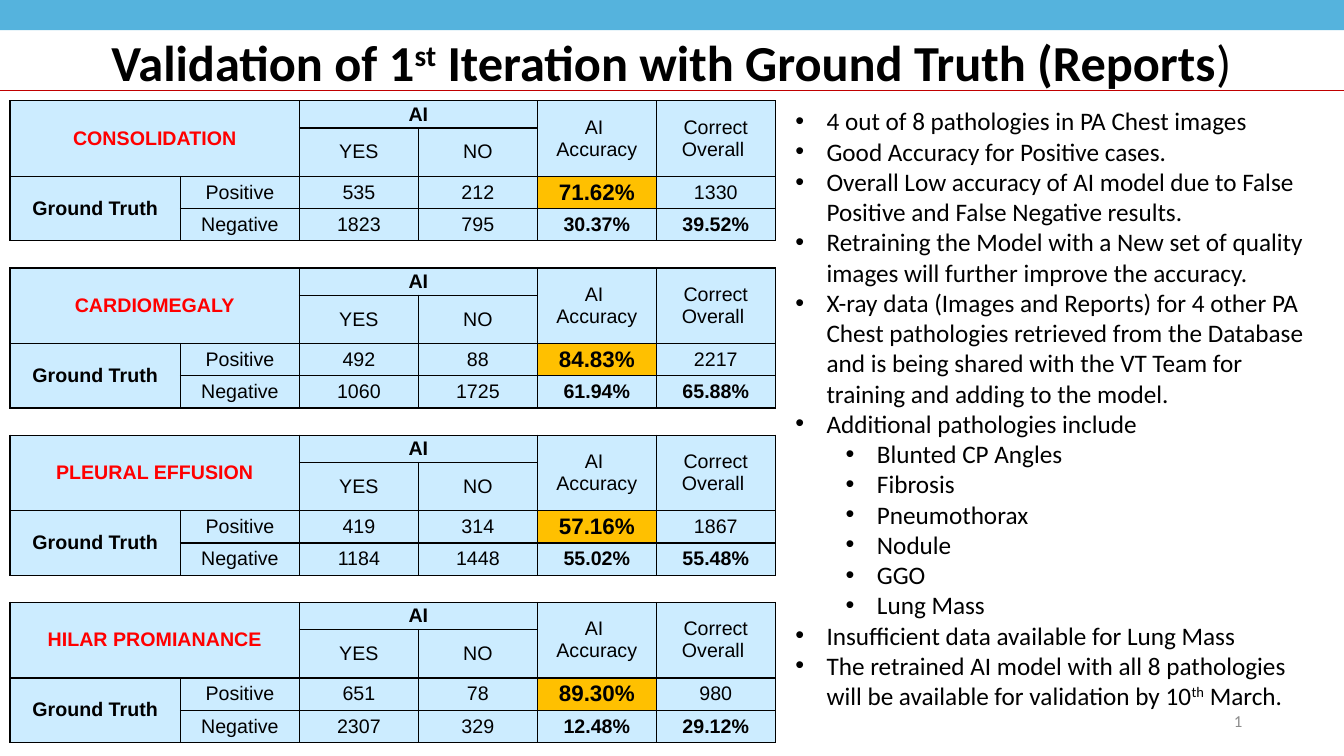
from dataclasses import dataclass

from lxml.etree import SubElement
from pptx import Presentation
from pptx.dml.color import RGBColor
from pptx.enum.shapes import MSO_CONNECTOR, MSO_SHAPE
from pptx.enum.text import MSO_ANCHOR, PP_ALIGN
from pptx.oxml.ns import qn
from pptx.slide import Slide
from pptx.table import Table, _Cell
from pptx.text.text import TextFrame, _Paragraph
from pptx.util import Inches, Pt

PALE, AMBER, RED, BLACK = "CCECFF", "FFC000", "FF0000", "000000"
COLUMN_WIDTHS = [1.69] + [1.18] * 5
ROW_HEIGHTS = [0.27, 0.48, 0.32, 0.32, 0.27]
BLOCK_ROWS = len(ROW_HEIGHTS)


@dataclass(frozen=True)
class Span:
    text: str
    bold: bool = False
    superscript: bool = False


@dataclass(frozen=True)
class Bullet:
    spans: tuple[Span, ...]
    level: int = 0


@dataclass(frozen=True)
class Pathology:
    name: str
    positive: tuple[str, ...]
    negative: tuple[str, ...]


@dataclass(frozen=True)
class CellText:
    row: int
    column: int
    lines: tuple[str, ...]
    bold: bool = False
    color: str = BLACK
    size: int = 14
    fill: str = PALE
    row_span: int = 1
    column_span: int = 1


TITLE = (
    Span("Validation of 1", bold=True),
    Span("st", bold=True, superscript=True),
    Span(" Iteration with Ground Truth (Reports", bold=True),
    Span(")"),
)
PATHOLOGIES = [
    Pathology("CONSOLIDATION", ("535", "212", "71.62%", "1330"), ("1823", "795", "30.37%", "39.52%")),
    Pathology("CARDIOMEGALY", ("492", "88", "84.83%", "2217"), ("1060", "1725", "61.94%", "65.88%")),
    Pathology("PLEURAL EFFUSION", ("419", "314", "57.16%", "1867"), ("1184", "1448", "55.02%", "55.48%")),
    Pathology("HILAR PROMIANANCE", ("651", "78", "89.30%", "980"), ("2307", "329", "12.48%", "29.12%")),
]
FINDINGS = [
    "4 out of 8 pathologies in PA Chest images",
    "Good Accuracy for Positive cases.",
    "Overall Low accuracy of AI model due to False Positive and False Negative results.",
    "Retraining the Model with a New set of quality images will further improve the accuracy.",
    "X-ray data (Images and Reports) for 4 other PA Chest pathologies retrieved from the Database "
    "and is being shared with the VT Team for training and adding to the model.",
    "Additional pathologies include",
]
ADDITIONAL = ["Blunted CP Angles", "Fibrosis", "Pneumothorax", "Nodule", "GGO", "Lung Mass"]
BULLETS = [
    *(Bullet((Span(text),)) for text in FINDINGS),
    *(Bullet((Span(text),), level=1) for text in ADDITIONAL),
    Bullet((Span("Insufficient data available for Lung Mass"),)),
    Bullet((
        Span("The retrained AI model with all 8 pathologies will be available for validation by 10"),
        Span("th", superscript=True),
        Span(" March."),
    )),
]


def rgb(value: str) -> RGBColor:
    return RGBColor.from_string(value)


def add_span(para: _Paragraph, span: Span, size: int, font: str = "Calibri", color: str = BLACK) -> None:
    run = para.add_run()
    run.text = span.text
    run.font.name = font
    run.font.size = Pt(size)
    run.font.bold = span.bold
    run.font.color.rgb = rgb(color)
    if span.superscript:
        run.font._element.set("baseline", "30000")


def add_text_box(page: Slide, left: float, top: float, width: float, height: float,
                 anchor: MSO_ANCHOR = MSO_ANCHOR.MIDDLE) -> TextFrame:
    box = page.shapes.add_textbox(Inches(left), Inches(top), Inches(width), Inches(height))
    frame = box.text_frame
    frame.word_wrap = True
    frame.vertical_anchor = anchor
    return frame


def add_banner(page: Slide) -> None:
    band = page.shapes.add_shape(MSO_SHAPE.RECTANGLE, 0, 0, Inches(13.33), Inches(0.3))
    band.shadow.inherit = False
    band.fill.solid()
    band.fill.fore_color.rgb = rgb("55B3DD")
    band.line.fill.background()
    rule = page.shapes.add_connector(MSO_CONNECTOR.STRAIGHT, 0, Inches(0.9), Inches(13.33), Inches(0.9))
    rule.line.color.rgb = rgb("C00000")
    rule.line.width = Pt(0.5)
    SubElement(rule._element.spPr, qn("a:effectLst"))


def add_title(page: Slide) -> None:
    para = add_text_box(page, 0.23, 0.4, 12.86, 0.5).paragraphs[0]
    para.alignment = PP_ALIGN.CENTER
    para.line_spacing = 0.9
    for span in TITLE:
        add_span(para, span, 36)


def add_page_number(page: Slide) -> None:
    para = add_text_box(page, 9.42, 6.95, 3, 0.4).paragraphs[0]
    para.alignment = PP_ALIGN.RIGHT
    add_span(para, Span("1"), 12, color="8C8C8C")


def add_bullets(page: Slide) -> None:
    frame = add_text_box(page, 7.79, 1, 5.44, 6.16, MSO_ANCHOR.TOP)
    for index, bullet in enumerate(BULLETS):
        para = frame.add_paragraph() if index else frame.paragraphs[0]
        para.level = bullet.level
        properties = para._p.get_or_add_pPr()
        properties.set("marL", str(Inches(0.31 + 0.5 * bullet.level)))
        properties.set("indent", str(Inches(-0.31)))
        SubElement(properties, qn("a:buFont"), typeface="Arial")
        SubElement(properties, qn("a:buChar"), char="•")
        for span in bullet.spans:
            add_span(para, span, 18)


def prepare_cell(cell: _Cell, is_gap: bool) -> None:
    cell.margin_left = cell.margin_right = Inches(0.01)
    cell.margin_top = cell.margin_bottom = 0
    cell.vertical_anchor = MSO_ANCHOR.MIDDLE
    properties = cell._tc.get_or_add_tcPr()
    for side in "LRTB":
        line = SubElement(properties, qn(f"a:ln{side}"), w=str(Pt(1)))
        if is_gap and side in "LR":
            SubElement(line, qn("a:noFill"))
        else:
            SubElement(SubElement(line, qn("a:solidFill")), qn("a:srgbClr"), val=BLACK)
    if is_gap:
        cell.fill.background()
    else:
        cell.fill.solid()
        cell.fill.fore_color.rgb = rgb(PALE)
    SubElement(cell.text_frame.paragraphs[0]._p, qn("a:endParaRPr"), sz="1000")


def block_cells(pathology: Pathology) -> list[CellText]:
    cells = [
        CellText(0, 0, (pathology.name,), bold=True, color=RED, row_span=2, column_span=2),
        CellText(0, 2, ("AI",), bold=True, column_span=2),
        CellText(0, 4, ("AI ", "Accuracy"), row_span=2),
        CellText(0, 5, ("Correct Overall ",), row_span=2),
        CellText(1, 2, ("YES",)),
        CellText(1, 3, ("NO",)),
        CellText(2, 0, ("Ground Truth",), bold=True, row_span=2),
    ]
    for column, text in enumerate(("Positive", *pathology.positive), start=1):
        key = column == 4
        cells.append(CellText(2, column, (text,), key, size=16 if key else 14, fill=AMBER if key else PALE))
    for column, text in enumerate(("Negative", *pathology.negative), start=1):
        cells.append(CellText(3, column, (text,), bold=column >= 4))
    return cells


def fill_cell(table: Table, content: CellText, first_row: int) -> None:
    row, column = first_row + content.row, content.column
    cell = table.cell(row, column)
    if content.row_span * content.column_span > 1:
        cell.merge(table.cell(row + content.row_span - 1, column + content.column_span - 1))
    cell.fill.fore_color.rgb = rgb(content.fill)
    for index, text in enumerate(content.lines):
        para = cell.text_frame.add_paragraph() if index else cell.text_frame.paragraphs[0]
        para.alignment = PP_ALIGN.CENTER
        add_span(para, Span(text, content.bold), content.size, "Arial", content.color)


def add_results(page: Slide) -> None:
    heights = (ROW_HEIGHTS * len(PATHOLOGIES))[:-1]
    frame = page.shapes.add_table(len(heights), len(COLUMN_WIDTHS), Inches(0.1), Inches(1),
                                  Inches(sum(COLUMN_WIDTHS)), Inches(sum(heights)))
    table = frame.table
    table.first_row = table.horz_banding = False
    for column, width in zip(table.columns, COLUMN_WIDTHS):
        column.width = Inches(width)
    for index, (row, height) in enumerate(zip(table.rows, heights)):
        row.height = Inches(height)
        is_gap = index % BLOCK_ROWS == BLOCK_ROWS - 1
        for cell in row.cells:
            prepare_cell(cell, is_gap)
        if is_gap:
            table.cell(index, 0).merge(table.cell(index, len(COLUMN_WIDTHS) - 1))
    for index, pathology in enumerate(PATHOLOGIES):
        for content in block_cells(pathology):
            fill_cell(table, content, index * BLOCK_ROWS)


def main() -> None:
    deck = Presentation()
    deck.slide_width, deck.slide_height = Inches(13.33), Inches(7.5)
    page = deck.slides.add_slide(deck.slide_layouts[6])
    add_banner(page)
    add_title(page)
    add_page_number(page)
    add_results(page)
    add_bullets(page)
    deck.save("out.pptx")


if __name__ == "__main__":
    main()
